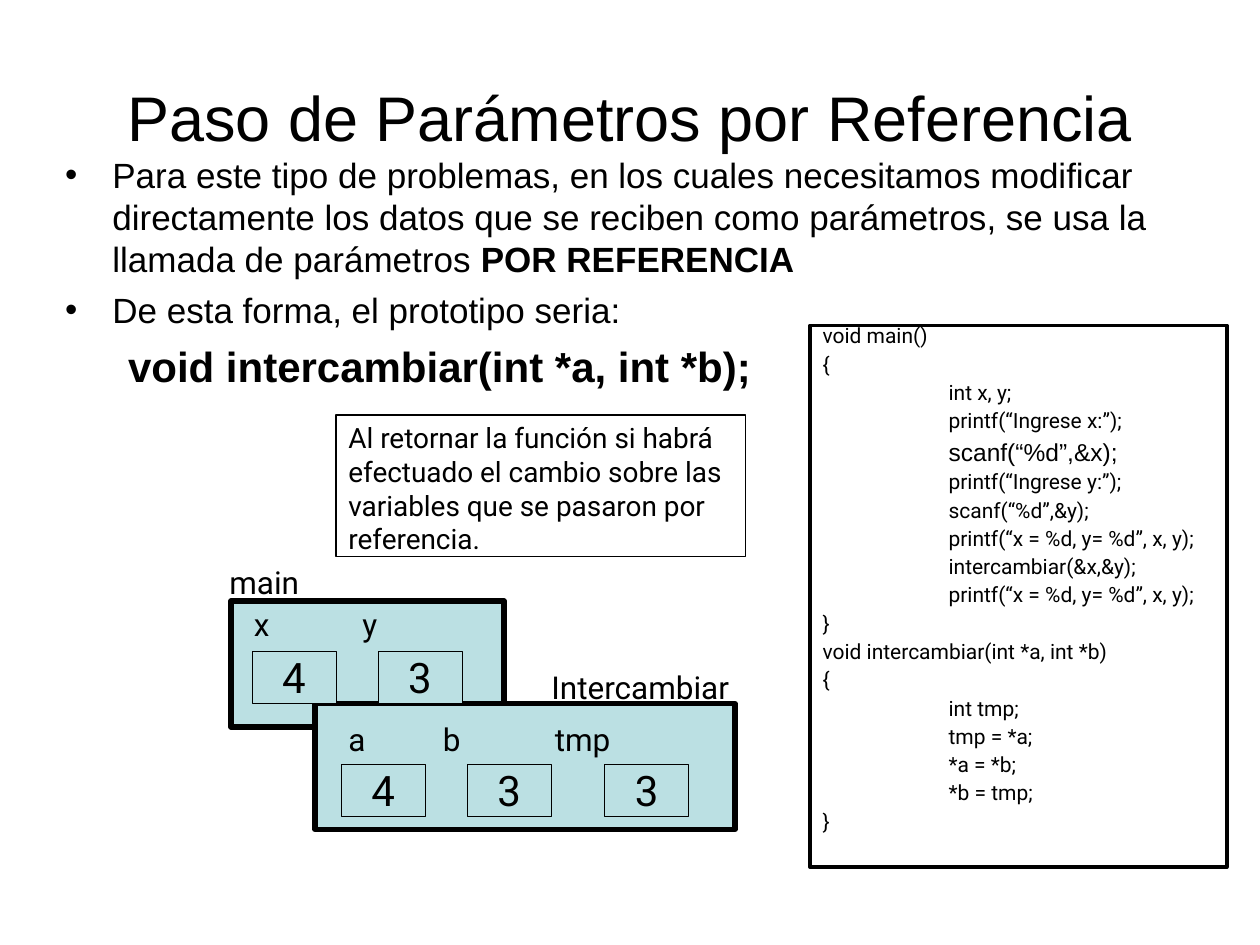
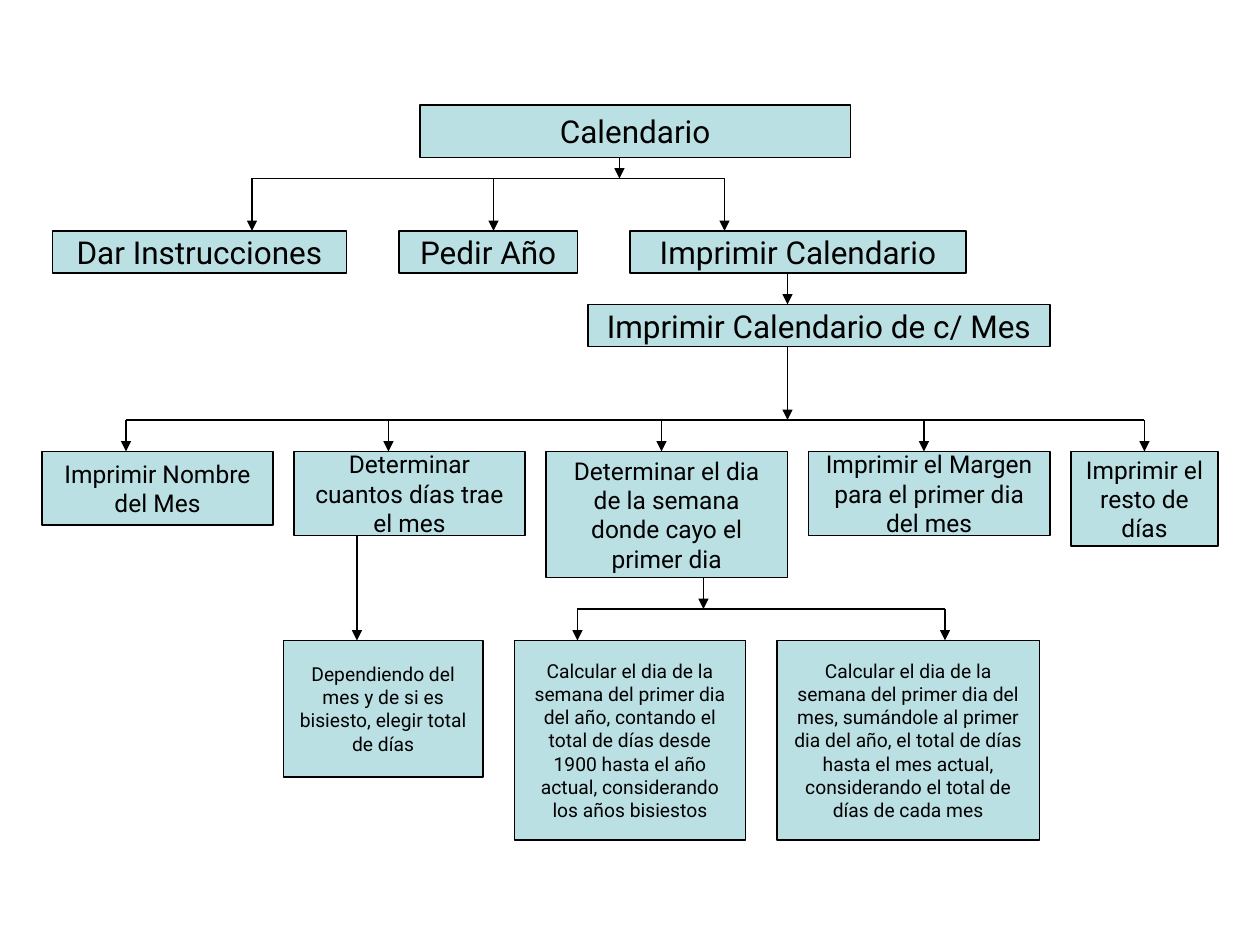
"""Builds two slides: passing by reference, and the calendar breakdown."""
from dataclasses import dataclass

from lxml import etree
from pptx import Presentation
from pptx.dml.color import RGBColor
from pptx.enum.shapes import MSO_CONNECTOR, MSO_SHAPE
from pptx.enum.text import MSO_ANCHOR, MSO_AUTO_SIZE, PP_ALIGN
from pptx.oxml.ns import qn
from pptx.util import Pt

RECT = MSO_SHAPE.RECTANGLE
LINE = MSO_CONNECTOR.STRAIGHT
TOP, MID = MSO_ANCHOR.TOP, MSO_ANCHOR.MIDDLE
LEFT, CENTER = PP_ALIGN.LEFT, PP_ALIGN.CENTER
FIXED = MSO_AUTO_SIZE.NONE


@dataclass(frozen=True)
class Theme:
    ink: RGBColor = RGBColor(0, 0, 0)
    fill: RGBColor = RGBColor(0xBB, 0xE0, 0xE3)
    paper: RGBColor = RGBColor(255, 255, 255)
    head: str = "Arial"
    body: str = "Roboto"
    title: int = 36
    big: int = 24
    text: int = 20
    label: int = 18
    note: int = 16
    mid: int = 14
    code: int = 12
    small: int = 11


T = Theme()

TITLE = "Paso de Parámetros por Referencia"
POINTS = [
    [("Para este tipo de problemas, en los cuales necesitamos modificar "
      "directamente los datos que se reciben como parámetros, se usa la "
      "llamada de parámetros ", False), ("POR REFERENCIA", True)],
    [("De esta forma, el prototipo seria:", False)],
]
PROTO = "void intercambiar(int *a, int *b);"
NOTE = ("Al retornar la función si habrá efectuado el cambio sobre las "
        "variables que se pasaron por referencia.")
CODE = [
    (0, "void main()"),
    (0, "{"),
    (1, "int x, y;"),
    (1, "printf(“Ingrese x:”);"),
    (1, "scanf(“%d”,&x);"),
    (1, "printf(“Ingrese y:”);"),
    (1, "scanf(“%d”,&y);"),
    (1, "printf(“x = %d, y= %d”, x, y);"),
    (1, "intercambiar(&x,&y);"),
    (1, "printf(“x = %d, y= %d”, x, y);"),
    (0, "}"),
    (0, "void intercambiar(int *a, int *b)"),
    (0, "{"),
    (1, "int tmp;"),
    (1, "tmp = *a;"),
    (1, "*a = *b;"),
    (1, "*b = tmp;"),
    (0, "}"),
]
LARGE = 4

# name, name left and top, frame, name top, cell top, (name, left, value, left)
FRAMES = [
    ("main", 124, 318, (132, 343.5, 156, 72), 342, 372,
     [("x", 138, "4", 144), ("y", 200, "3", 216)]),
    ("Intercambiar", 308, 378, (180, 402, 240, 72), 408, 436.5,
     [("a", 192, "4", 195), ("b", 246, "3", 267), ("tmp", 310, "3", 345.5)]),
]

ROWS = [
    (60, T.label, [(240, 246, 30, "Calendario")]),
    (132, T.label, [
        (30, 168, 24, "Dar Instrucciones"),
        (228, 102, 24, "Pedir Año"),
        (360, 192, 24, "Imprimir Calendario")]),
    (174, T.label, [(336, 264, 24, "Imprimir Calendario de c/ Mes")]),
    (258, T.mid, [
        (24, 132, 42, "Imprimir Nombre del Mes"),
        (168, 132, 48, "Determinar cuantos días trae el mes"),
        (312, 138, 72, "Determinar el dia de la semana donde cayo el primer dia"),
        (462, 138, 48, "Imprimir el Margen para el primer dia del mes"),
        (612, 84, 54, "Imprimir el resto de días")]),
    (366, T.small, [
        (162, 114, 78, "Dependiendo del mes y de si es bisiesto, elegir total de días"),
        (294, 132, 114, "Calcular el dia de la semana del primer dia del año, "
         "contando el total de días desde 1900 hasta el año actual, "
         "considerando los años bisiestos"),
        (444, 150, 114, "Calcular el dia de la semana del primer dia del mes, "
         "sumándole al primer dia del año, el total de días hasta el mes "
         "actual, considerando el total de días de cada mes")]),
]
STEMS = [(450, 156, 174), (204, 306, 366)]
FORKS = [
    (354, 90, 102, 132, [144, 282, 414]),
    (450, 198, 240, 258, [72, 222, 378, 528, 654]),
    (402, 330, 348, 366, [330, 540]),
]


def put(par, text, size, font=T.body, bold=False):
    run = par.add_run()
    run.text = text
    run.font.size = Pt(size)
    run.font.name = font
    run.font.bold = bold
    run.font.color.rgb = T.ink


def place(shape, left, top, width, height):
    shape.left, shape.top = Pt(left), Pt(top)
    shape.width, shape.height = Pt(width), Pt(height)


def indent(par, left, first=0):
    props = par._p.get_or_add_pPr()
    props.set("marL", str(Pt(left)))
    props.set("indent", str(Pt(first)))
    return props


def box(slide, area, width, fill=T.fill, anchor=MID, align=CENTER):
    shape = slide.shapes.add_shape(RECT, *map(Pt, area))
    shape.shadow.inherit = False
    if fill is None:
        shape.fill.background()
    else:
        shape.fill.solid()
        shape.fill.fore_color.rgb = fill
    shape.line.color.rgb = T.ink
    shape.line.width = Pt(width)
    frame = shape.text_frame
    frame.word_wrap = True
    frame.vertical_anchor = anchor
    frame.paragraphs[0].alignment = align
    return shape


def label(slide, text, left, top):
    shape = slide.shapes.add_textbox(Pt(left), Pt(top), Pt(125), Pt(29))
    shape.text_frame.word_wrap = True
    put(shape.text_frame.paragraphs[0], text, T.label)


def line(slide, start, end, arrow=True):
    link = slide.shapes.add_connector(LINE, *map(Pt, start + end))
    link.line.color.rgb = T.ink
    link.line.width = Pt(0.75)
    props = link._element.spPr
    if arrow:
        tail = etree.SubElement(props.find(qn("a:ln")), qn("a:tailEnd"))
        tail.set("type", "triangle")
    etree.SubElement(props, qn("a:effectLst"))
    return link


def fill_body(shape):
    place(shape, 30, 84, 648, 354)
    frame = shape.text_frame
    frame.auto_size = FIXED
    for i, runs in enumerate(POINTS):
        par = frame.paragraphs[0] if i == 0 else frame.add_paragraph()
        par.space_before = Pt(5)
        indent(par, 27, -27)
        for text, bold in runs:
            put(par, text, T.text, T.head, bold)
    par = frame.add_paragraph()
    par.level = 1
    par.space_before = Pt(6)
    etree.SubElement(indent(par, 36), qn("a:buNone"))
    put(par, PROTO, T.big, T.head, True)


def add_code(slide):
    shape = box(slide, (463, 186, 238, 309.5), 2.25, T.paper, TOP, LEFT)
    frame = shape.text_frame
    for i, (depth, text) in enumerate(CODE):
        par = frame.paragraphs[0] if i == 0 else frame.add_paragraph()
        par.alignment = LEFT
        par.line_spacing = 0.6
        size, font = (T.mid, T.head) if i == LARGE else (T.code, T.body)
        par.space_before = Pt(size * 0.625)
        indent(par, 72 * depth)
        put(par, text, size, font)


def reference(deck):
    slide = deck.slides.add_slide(deck.slide_layouts[1])
    title, body = slide.placeholders
    place(title, 36, 21.5, 648, 90)
    title.text_frame.auto_size = FIXED
    title.text_frame.vertical_anchor = MID
    par = title.text_frame.paragraphs[0]
    par.alignment = CENTER
    put(par, TITLE, T.title, T.head)
    fill_body(body)
    add_code(slide)
    note = box(slide, (192, 237, 234, 81), 1, None, TOP, LEFT)
    put(note.text_frame.paragraphs[0], NOTE, T.note)
    for name, left, top, area, *_ in FRAMES:
        box(slide, area, 3)
        label(slide, name, left, top)
    for *_, high, low, cells in FRAMES:
        for name, left, value, side in cells:
            label(slide, name, left, high)
            cell = box(slide, (side, low, 48, 30), 0.25)
            put(cell.text_frame.paragraphs[0], value, T.big)


def calendar(deck):
    slide = deck.slides.add_slide(deck.slide_layouts[6])
    tops = {}
    for top, size, items in ROWS:
        for left, width, height, text in items:
            shape = box(slide, (left, top, width, height), 0.75)
            put(shape.text_frame.paragraphs[0], text, size)
            tops[left + width / 2, top] = shape
    for x, start, end in STEMS:
        line(slide, (x, start), (x, end))
    for x, start, bar, end, drops in FORKS:
        line(slide, (x, start), (x, bar))
        line(slide, (drops[0], bar), (drops[-1], bar), False)
        for drop in drops:
            link = line(slide, (drop, bar), (drop, end))
            if (drop, end) in tops:
                link.end_connect(tops[drop, end], 0)


def main():
    deck = Presentation()
    deck.slide_width, deck.slide_height = Pt(720), Pt(540)
    reference(deck)
    calendar(deck)
    deck.save("out.pptx")


if __name__ == "__main__":
    main()
